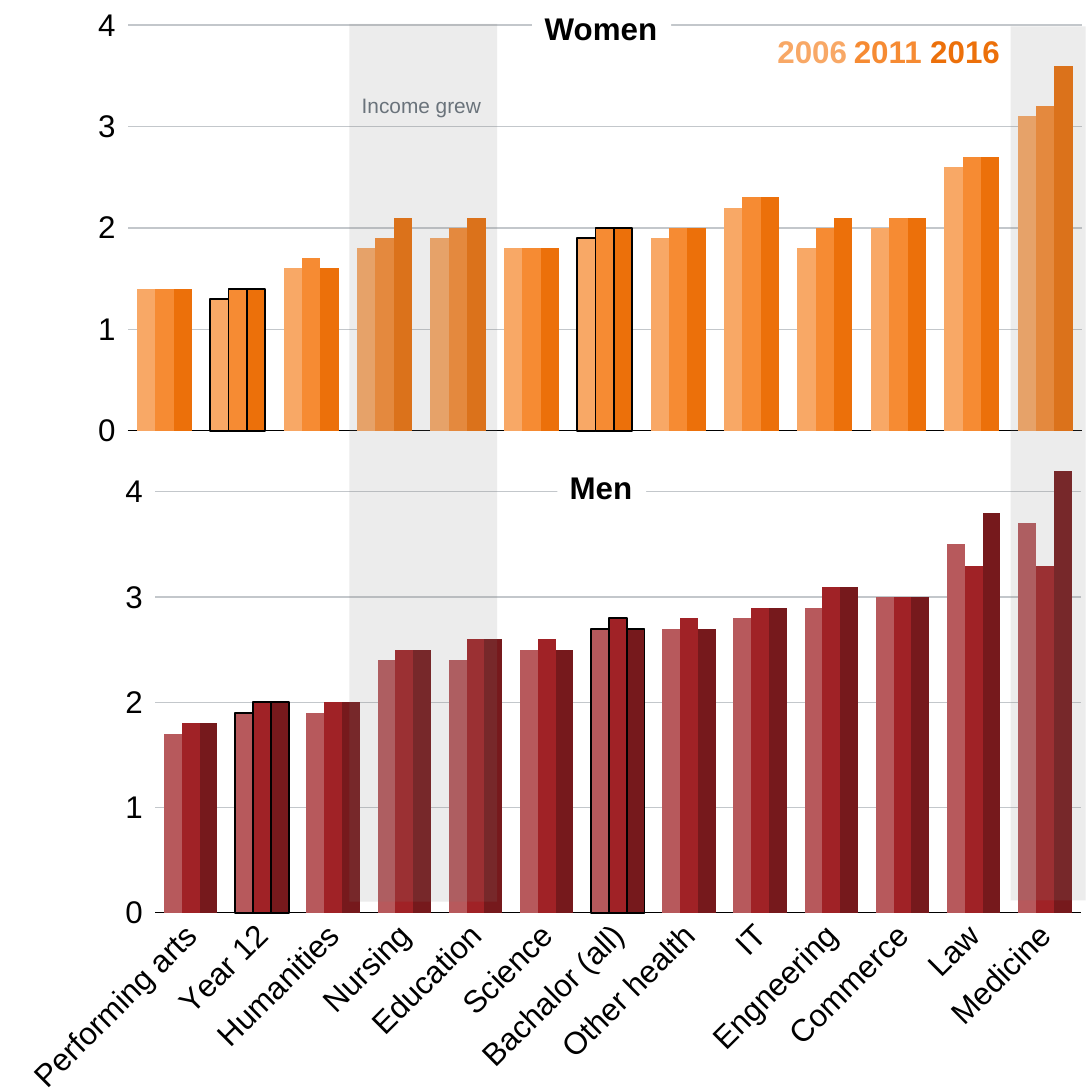
from pptx import Presentation
from pptx import util as u
from pptx.chart import data as chart_data
from pptx.dml import color
from pptx.enum import chart as ch, shapes, text
from pptx.oxml import parse_xml
from pptx.oxml import ns

BLACK, WHITE, GRID, BAND, NOTE = "000000", "FFFFFF", "C3C7CB", "808080", "6A737B"
WOMEN_COLORS = ["F8A866", "F68B33", "EC700A"]
MEN_COLORS = ["B7595C", "A02226", "76191C"]
YEARS = ["2006", "2011", "2016"]
OUTLINED = (1, 6)  # Year 12 and Bachalor (all)

FIELDS = ["Performing arts", "Year 12", "Humanities", "Nursing", "Education",
          "Science", "Bachalor (all)", "Other health", "IT", "Engneering",
          "Commerce", "Law", "Medicine"]
WOMEN = [
    [1.4, 1.3, 1.6, 1.8, 1.9, 1.8, 1.9, 1.9, 2.2, 1.8, 2, 2.6, 3.1],
    [1.4, 1.4, 1.7, 1.9, 2, 1.8, 2, 2, 2.3, 2, 2.1, 2.7, 3.2],
    [1.4, 1.4, 1.6, 2.1, 2.1, 1.8, 2, 2, 2.3, 2.1, 2.1, 2.7, 3.6],
]
MEN = [
    [1.7, 1.9, 1.9, 2.4, 2.4, 2.5, 2.7, 2.7, 2.8, 2.9, 3, 3.5, 3.7],
    [1.8, 2, 2, 2.5, 2.6, 2.6, 2.8, 2.8, 2.9, 3.1, 3, 3.3, 3.3],
    [1.8, 2, 2, 2.5, 2.6, 2.5, 2.7, 2.7, 2.9, 3.1, 3, 3.8, 4.2],
]


def paint(target, hex_color):
    """Give a fill or a line fill one solid colour."""
    target.solid()
    target.fore_color.rgb = color.RGBColor.from_string(hex_color)


def write(frame, words, size=18, ink=BLACK, bold=False, align=text.PP_ALIGN.LEFT):
    frame.text = words
    frame.word_wrap = False
    frame.auto_size = text.MSO_AUTO_SIZE.NONE  # keeps each box at its given size
    frame.vertical_anchor = text.MSO_ANCHOR.TOP
    paragraph = frame.paragraphs[0]
    paragraph.alignment = align
    font = paragraph.runs[0].font
    font.name, font.size, font.bold = "Arial", u.Pt(size), bold
    paint(font.fill, ink)


class IncomeSlide:
    def __init__(self, deck):
        self.slide = deck.slides.add_slide(deck.slide_layouts[5])
        self.shapes = self.slide.shapes

    def box(self, bounds):
        return [u.Inches(length) for length in bounds]

    def title(self, words, bounds):
        heading = self.shapes.title
        heading.left, heading.top, heading.width, heading.height = self.box(bounds)
        paint(heading.fill, WHITE)
        write(heading.text_frame, words, bold=True)
        heading.element.getparent().append(heading.element)  # in front of the charts

    def label(self, words, bounds, **style):
        caption = self.shapes.add_textbox(*self.box(bounds))
        write(caption.text_frame, words, **style)
        return caption

    def band(self, bounds, opacity=15):
        band = self.shapes.add_shape(shapes.MSO_SHAPE.RECTANGLE, *self.box(bounds))
        band.shadow.inherit = False
        paint(band.fill, BAND)
        band.line.fill.background()
        tint = band.element.spPr.find(".//" + ns.qn("a:srgbClr"))
        tint.append(parse_xml(f'<a:alpha {ns.nsdecls("a")} val="{opacity * 1000}"/>'))

    def columns(self, values, colors, bounds, plot, top, labels=True):
        """Clustered columns; plot is the inner plot area in slide inches."""
        table = chart_data.CategoryChartData(number_format="General")
        table.categories = FIELDS if labels else [str(n + 1) for n in range(len(FIELDS))]
        for number, row in enumerate(values, 1):
            table.add_series(f"Series {number}", row)
        chart = self.shapes.add_chart(
            ch.XL_CHART_TYPE.COLUMN_CLUSTERED, *self.box(bounds), table).chart
        chart.has_legend = chart.has_title = False
        chart.font.name, chart.font.size = "Arial", u.Pt(18)
        paint(chart.font.fill, BLACK)
        self.axes(chart, top, labels)
        self.bars(chart.plots[0], colors)
        self.place_plot(chart, bounds, plot)

    def axes(self, chart, top, labels):
        fields, income = chart.category_axis, chart.value_axis
        fields.major_tick_mark = ch.XL_TICK_MARK.NONE
        fields.format.line.width = u.Pt(0.75)
        paint(fields.format.line.fill, BLACK)
        if labels:
            fields.tick_labels.font.size = u.Pt(18)
            body = chart.element.xpath(".//c:catAx/c:txPr/a:bodyPr")[0]
            body.set("rot", str(-45 * 60000))
            body.set("vert", "horz")
        else:
            fields.tick_label_position = ch.XL_TICK_LABEL_POSITION.NONE
        income.minimum_scale, income.maximum_scale, income.major_unit = 0, top, 1
        income.major_tick_mark = ch.XL_TICK_MARK.OUTSIDE
        income.tick_labels.font.size = u.Pt(18)
        income.format.line.fill.background()
        income.has_major_gridlines = True
        grid = income.major_gridlines.format.line
        grid.width = u.Pt(0.75)
        paint(grid.fill, GRID)

    def bars(self, plot, colors):
        plot.gap_width, plot.overlap, plot.vary_by_categories = 100, 0, False
        for year, tone in zip(plot.series, colors):
            paint(year.format.fill, tone)
            for index in OUTLINED:
                bar = year.points[index].format
                paint(bar.fill, tone)
                bar.line.width = u.Pt(1)
                paint(bar.line.fill, BLACK)

    def place_plot(self, chart, bounds, plot):
        left, top, width, height = bounds
        shares = {"x": (plot[0] - left) / width, "y": (plot[1] - top) / height,
                  "w": plot[2] / width, "h": plot[3] / height}
        sizes = "".join(f'<c:{key} val="{share:.4f}"/>' for key, share in shares.items())
        area = chart.element.xpath(".//c:plotArea")[0]
        for old in area.findall(ns.qn("c:layout")):
            area.remove(old)
        area.insert(0, parse_xml(
            f'<c:layout {ns.nsdecls("c")}><c:manualLayout><c:layoutTarget val="inner"/>'
            f'<c:xMode val="edge"/><c:yMode val="edge"/>{sizes}</c:manualLayout></c:layout>'))


def main():
    deck = Presentation()
    deck.slide_width = deck.slide_height = u.Inches(8.72)
    page = IncomeSlide(deck)

    # Charts
    page.columns(MEN, MEN_COLORS, (0.04, 3.65, 8.77, 5.2), (1.24, 3.76, 7.39, 3.53), 4.2)
    page.columns(WOMEN, WOMEN_COLORS, (0.62, -0.01, 8.18, 3.66),
                 (1.02, 0.2, 7.62, 3.24), 4, labels=False)

    # Headings
    page.title("Women", (4.25, 0.02, 1.11, 0.4))
    men = page.label("Men", (4.45, 3.69, 0.71, 0.4), bold=True)
    paint(men.fill, WHITE)

    # Fields where income grew
    page.band((2.79, 0.19, 1.18, 7.01))
    page.label("Income grew", (2.79, 0.69, 1.16, 0.3), size=12, ink=NOTE)

    # Year key
    for step, (year, tone) in enumerate(zip(YEARS, WOMEN_COLORS)):
        page.label(year, (6.11 + 0.61 * step, 0.21, 0.76, 0.4), ink=tone, bold=True)
    page.band((8.07, 0.21, 0.6, 6.98))

    deck.save("out.pptx")


if __name__ == "__main__":
    main()
